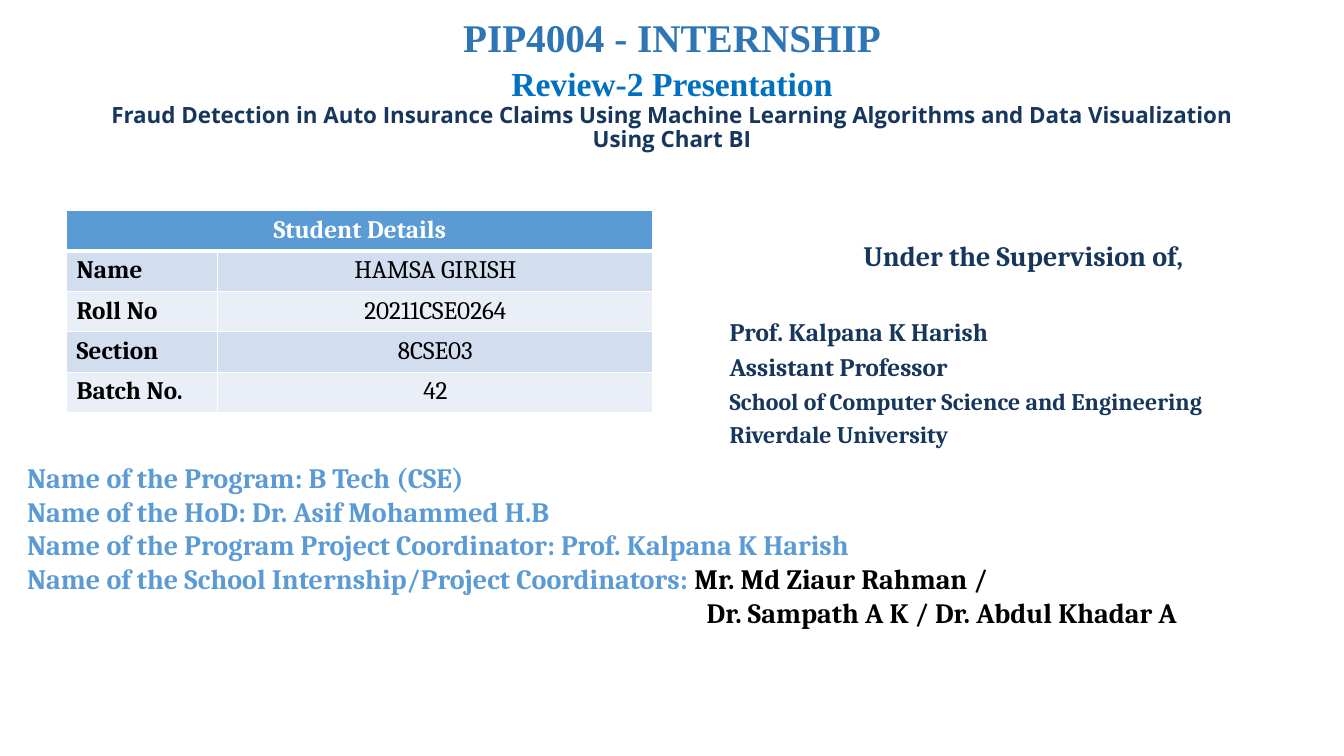
from lxml import etree
from pptx import Presentation
from pptx.dml.color import RGBColor
from pptx.enum import text
from pptx.oxml import ns
from pptx.util import Pt

NAVY, SKY, BLACK, WHITE = "17365D", "5B9BD5", "000000", "FFFFFF"
SERIF = "Cambria"
CENTER = text.PP_ALIGN.CENTER
LEFT = text.PP_ALIGN.LEFT


def color(value):
    """Turn a hex string into a colour."""
    return RGBColor.from_string(value)


def set_font(font, size, fill, name=SERIF, bold=True):
    """Set the face, size, weight and colour of a font."""
    font.name, font.size, font.bold = name, Pt(size), bold
    font.color.rgb = color(fill)


def add_text_frame(slide, left, top, width, height):
    """Add a wrapping text box and return its frame."""
    frame = slide.shapes.add_textbox(Pt(left), Pt(top), Pt(width), Pt(height)).text_frame
    frame.word_wrap = True
    return frame


def add_line(frame, wording, size, fill, name=SERIF, align=LEFT, before=0, spacing=1.0):
    """Write the next paragraph of a frame and return it."""
    line = frame.add_paragraph() if frame.text else frame.paragraphs[0]
    line.text = wording
    line.alignment = align
    line.space_before = Pt(before)
    line.line_spacing = spacing
    set_font(line.font, size, fill, name)
    return line


def add_borders(cell, bottom):
    """Draw white borders round a cell, with the given bottom width."""
    properties = cell._tc.get_or_add_tcPr()
    for side, width in (("L", 1), ("R", 1), ("T", 1), ("B", bottom)):
        border = etree.SubElement(properties, ns.qn(f"a:ln{side}"), w=str(Pt(width)))
        fill = etree.SubElement(border, ns.qn("a:solidFill"))
        etree.SubElement(fill, ns.qn("a:srgbClr"), val=WHITE)


def style_cell(cell, wording, fill, ink=BLACK, bold=True, align=LEFT, bottom=1):
    """Fill one table cell and write its text."""
    add_borders(cell, bottom)
    cell.fill.solid()
    cell.fill.fore_color.rgb = color(fill)
    cell.text = wording
    paragraph = cell.text_frame.paragraphs[0]
    paragraph.alignment = align
    set_font(paragraph.font, 18, ink, bold=bold)


def add_heading(slide):
    """Add the course, review and project titles."""
    heading = add_text_frame(slide, 66, 9.5, 828, 123)
    serif = "Times New Roman"
    add_line(heading, "PIP4004 - INTERNSHIP", 28, "2E75B6", serif, CENTER, spacing=0.9)
    add_line(heading, "Review-2 Presentation", 24, "0070C0", serif, CENTER, 5, 0.9)
    project = ("Fraud Detection in Auto Insurance Claims Using Machine Learning "
               "Algorithms and Data Visualization Using Chart BI")
    add_line(heading, project, 16, NAVY, "Open Sans", CENTER, spacing=0.9)


def add_student_table(slide, details):
    """Add the table of student details."""
    rows = len(details) + 1
    table = slide.shapes.add_table(rows, 2, Pt(47.5), Pt(150.5), Pt(419), Pt(28.8 * rows)).table
    table.columns[0].width, table.columns[1].width = Pt(108), Pt(311)
    header = table.cell(0, 0)
    header.merge(table.cell(0, 1))
    style_cell(header, "Student Details", SKY, WHITE, align=CENTER, bottom=3)
    add_borders(table.cell(0, 1), 3)
    for row, (label, value) in enumerate(details, 1):
        band = "D2DEEF" if row % 2 else "EAEFF7"
        style_cell(table.cell(row, 0), label, band)
        style_cell(table.cell(row, 1), value, band, bold=False, align=CENTER)


def add_supervisor(slide):
    """Add the supervisor's name and post."""
    supervisor = add_text_frame(slide, 514, 166.5, 434, 159)
    add_line(supervisor, "Under the Supervision of,", 20, NAVY, align=CENTER)
    for wording, size, before in (
        ("Prof. Kalpana K Harish", 18, 32),
        ("Assistant Professor", 18, 3.4),
        ("School of Computer Science and Engineering", 17, 3.4),
        ("Riverdale University", 17, 3.4),
    ):
        add_line(supervisor, wording, size, NAVY, before=before)


def add_program(slide):
    """Add the program and its coordinators."""
    program = add_text_frame(slide, 12.25, 325.5, 936, 123)
    for wording in (
        "Name of the Program: B Tech (CSE)",
        "Name of the HoD: Dr. Asif Mohammed H.B",
        "Name of the Program Project Coordinator: Prof. Kalpana K Harish",
    ):
        add_line(program, wording, 20, SKY)
    coordinators = add_line(program, "Name of the School Internship/Project Coordinators: ", 20, SKY)
    first = coordinators.add_run()
    first.text = "Mr. Md Ziaur Rahman /"
    first.font.color.rgb = color(BLACK)
    others = add_line(program, "Dr. Sampath A K / Dr. Abdul Khadar A", 20, BLACK)
    others._p.get_or_add_pPr().set("marL", str(Pt(485.5)))


def main():
    """Build the slide and save it."""
    deck = Presentation()
    deck.slide_width, deck.slide_height = Pt(960), Pt(540)
    slide = deck.slides.add_slide(deck.slide_layouts[6])
    add_heading(slide)
    add_student_table(slide, [
        ("Name", "HAMSA GIRISH"),
        ("Roll No", "20211CSE0264"),
        ("Section", "8CSE03"),
        ("Batch No.", "42"),
    ])
    add_supervisor(slide)
    add_program(slide)
    deck.save("out.pptx")


if __name__ == "__main__":
    main()
